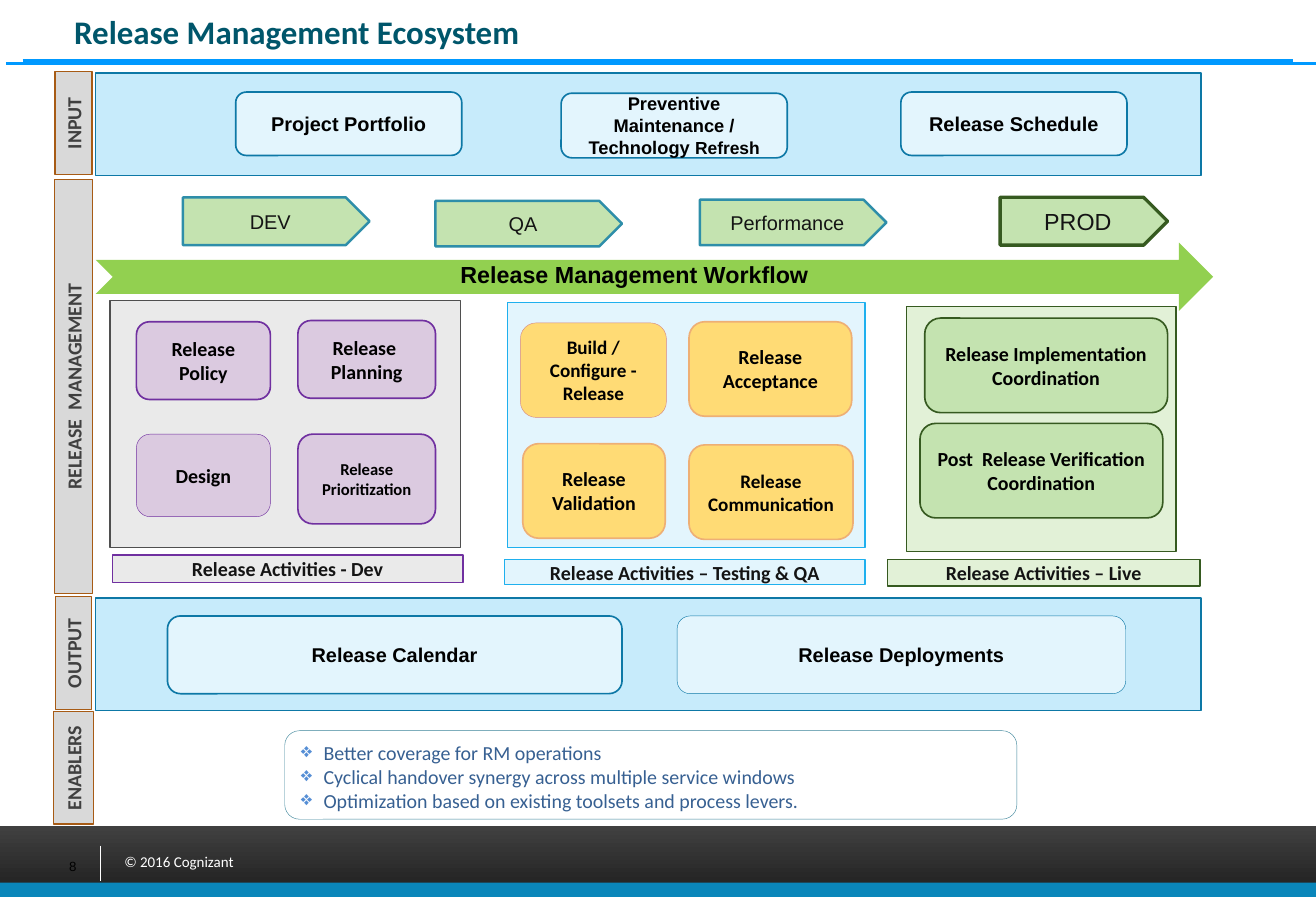
from dataclasses import dataclass

from lxml import etree
from pptx import Presentation
from pptx.dml.color import RGBColor
from pptx.enum.shapes import MSO_CONNECTOR, MSO_SHAPE
from pptx.enum.text import MSO_ANCHOR, PP_ALIGN
from pptx.oxml.ns import qn
from pptx.util import Inches, Pt

RECTANGLE = MSO_SHAPE.RECTANGLE
ROUNDED = MSO_SHAPE.ROUNDED_RECTANGLE
PENTAGON = MSO_SHAPE.PENTAGON
NOTCHED_ARROW = MSO_SHAPE.NOTCHED_RIGHT_ARROW
STRAIGHT = MSO_CONNECTOR.STRAIGHT
LEFT, CENTER = PP_ALIGN.LEFT, PP_ALIGN.CENTER
TOP, MIDDLE = MSO_ANCHOR.TOP, MSO_ANCHOR.MIDDLE


@dataclass(frozen=True)
class Theme:
    heading: str = "Calibri"
    body: str = "Arial"
    title_size: float = 19.8
    large: float = 14
    normal: float = 12
    snug: float = 11.5
    compact: float = 11
    tight: float = 10.5
    small: float = 10
    footer: float = 9
    tiny: float = 8
    black: str = "000000"
    white: str = "FFFFFF"
    ink: str = "141414"
    title: str = "00566B"
    rule: str = "0099FF"
    footer_dark: str = "262626"
    footer_light: str = "404040"
    footer_strip: str = "0A86BA"
    rail: str = "D9D9D9"
    rail_line: str = "A75B15"
    rail_text: str = "404040"
    band: str = "C7EBFB"
    pale_blue: str = "E3F5FD"
    blue_line: str = "0D78A6"
    bright_line: str = "1FB0EE"
    teal_line: str = "2E8EA9"
    gray: str = "EAEAEA"
    gray_line: str = "4F4F4F"
    purple: str = "DBCAE0"
    purple_line: str = "7030A0"
    yellow: str = "FFDB75"
    orange_line: str = "EEAF75"
    rose_line: str = "D48886"
    pale_green: str = "E2F1D7"
    green: str = "C4E3B0"
    green_line: str = "365A20"
    arrow: str = "92D050"
    benefit_line: str = "3B8499"
    benefit_text: str = "376092"
    bullet: str = "558ED5"


THEME = Theme()


def rgb(value):
    return RGBColor.from_string(value)


def format_font(font, name, size, color, bold):
    font.name, font.size, font.bold = name, Pt(size), bold
    font.color.rgb = rgb(color)


def add_bullet(paragraph):
    properties = paragraph._p.get_or_add_pPr()
    properties.set("marL", str(Inches(0.19)))
    properties.set("indent", str(Inches(-0.19)))
    color = etree.SubElement(properties, qn("a:buClr"))
    etree.SubElement(color, qn("a:srgbClr")).set("val", THEME.bullet)
    etree.SubElement(properties, qn("a:buChar")).set("char", "❖")


def write_text(shape, text, font=THEME.heading, size=THEME.normal, color=THEME.black,
               bold=True, align=CENTER, anchor=MIDDLE, wrap=True, bullets=False):
    """Fill a shape with text, one paragraph per line."""
    frame = shape.text_frame
    frame.word_wrap, frame.vertical_anchor = wrap, anchor
    for index, line in enumerate(text.split("\n")):
        paragraph = frame.add_paragraph() if index else frame.paragraphs[0]
        paragraph.alignment = align
        if bullets:
            add_bullet(paragraph)
        run = paragraph.add_run()
        run.text = line
        format_font(run.font, font, size, color, bold)


def add_label(slide, box, text, **text_format):
    shape = slide.shapes.add_textbox(*map(Inches, box))
    write_text(shape, text, align=LEFT, anchor=TOP, **text_format)


def add_box(slide, kind, box, fill=None, line=None, width=0.75, text=None, **text_format):
    shape = slide.shapes.add_shape(kind, *map(Inches, box))
    shape.shadow.inherit = False
    if fill:
        shape.fill.solid()
        shape.fill.fore_color.rgb = rgb(fill)
    else:
        shape.fill.background()
    if line:
        shape.line.color.rgb = rgb(line)
        shape.line.width = Pt(width)
    else:
        shape.line.fill.background()
    if text:
        write_text(shape, text, **text_format)
    return shape


def add_line(slide, start, end, color, width):
    line = slide.shapes.add_connector(STRAIGHT, *map(Inches, start + end))
    line.line.color.rgb = rgb(color)
    line.line.width = Pt(width)
    etree.SubElement(line._element.spPr, qn("a:effectLst"))


def add_rail_label(slide, text, center_y, length, thickness):
    """Add a side label that reads upwards."""
    box = (0.615 - length / 2, center_y - thickness / 2, length, thickness)
    shape = add_box(slide, RECTANGLE, box, THEME.rail, THEME.rail_line,
                    text=text, color=THEME.rail_text)
    shape.rotation = 270


def add_frame(slide):
    footer = add_box(slide, RECTANGLE, (0, 6.91, 11, 0.6))
    footer.fill.gradient()
    footer.fill.gradient_angle = 90
    stops = ((0.24, THEME.footer_dark), (1, THEME.footer_light))
    for stop, (position, color) in zip(footer.fill.gradient_stops, stops):
        stop.position, stop.color.rgb = position, rgb(color)
    add_label(slide, (0.94, 7.08, 2.31, 0.25), "© 2016 Cognizant",
              size=THEME.footer, color=THEME.white, bold=False)
    add_line(slide, (0.84, 7.07), (0.84, 7.37), THEME.white, 0.5)
    add_line(slide, (0.05, 0.53), (11.05, 0.53), THEME.rule, 1.5)
    add_label(slide, (0.48, 7.13, 0.34, 0.24), "8", font=THEME.body,
              size=THEME.tiny, bold=False, wrap=False)
    add_box(slide, RECTANGLE, (0, 7.38, 11, 0.12), THEME.footer_strip)
    add_line(slide, (0.19, 0.51), (10.81, 0.51), THEME.rule, 2.25)


def add_title(slide, text):
    title = slide.shapes.title
    title.left, title.top, title.width, title.height = map(Inches, (0.52, 0.04, 4.73, 0.44))
    write_text(title, text, size=THEME.title_size, color=THEME.title, align=LEFT)


def add_rail(slide):
    for label in (("RELEASE  MANAGEMENT", 3.23, 3.46, 0.32), ("INPUT", 1.03, 0.86, 0.31),
                  ("OUTPUT", 5.46, 0.94, 0.3), ("ENABLERS", 6.42, 0.94, 0.33)):
        add_rail_label(slide, *label)


def add_band(slide, top, height, cards):
    """Add a blue band with rounded cards on it and return the cards."""
    add_box(slide, RECTANGLE, (0.8, top, 9.24, height), THEME.band, THEME.blue_line)
    return [add_box(slide, ROUNDED, box, THEME.pale_blue, THEME.blue_line, width,
                    text=text, font=THEME.body, size=size)
            for text, box, width, size in cards]


def add_stages(slide):
    for text, box, line, width, size in (
            ("DEV", (1.53, 1.65, 1.56, 0.4), THEME.teal_line, 1.5, THEME.normal),
            ("QA", (3.64, 1.68, 1.56, 0.38), THEME.teal_line, 1.5, THEME.normal),
            ("Performance", (5.85, 1.67, 1.56, 0.38), THEME.teal_line, 1.5, THEME.normal),
            ("PROD", (8.36, 1.65, 1.4, 0.4), THEME.green_line, 2, THEME.large)):
        add_box(slide, PENTAGON, box, THEME.green, line, width, text=text,
                font=THEME.body, size=size, color=THEME.ink, bold=False)


def add_activities(slide, panel, caption_box, caption, fill, lines, card_fill, cards):
    """Add a panel, its caption and its cards; lines are for panel and caption."""
    add_box(slide, RECTANGLE, panel, fill, lines[0])
    add_box(slide, RECTANGLE, caption_box, fill, lines[1], text=caption, color=THEME.ink)
    for text, box, line, width, size in cards:
        add_box(slide, ROUNDED, box, card_fill, line, width, text=text, size=size)


def main():
    presentation = Presentation()
    presentation.slide_width, presentation.slide_height = Inches(11), Inches(7.5)
    slide = presentation.slides.add_slide(presentation.slide_layouts[5])
    add_frame(slide)
    add_title(slide, "Release Management Ecosystem")
    add_rail(slide)

    normal, snug = THEME.normal, THEME.snug
    inputs = add_band(slide, 0.61, 0.86, (
        ("Project Portfolio", (1.97, 0.77, 1.89, 0.53), 1, normal),
        ("Preventive Maintenance / Technology ", (4.69, 0.78, 1.89, 0.54), 1, THEME.compact),
        ("Release Schedule", (7.53, 0.77, 1.89, 0.53), 1, normal)))
    refresh = inputs[1].text_frame.paragraphs[0].add_run()
    refresh.text = "Refresh"
    format_font(refresh.font, THEME.body, THEME.tight, THEME.black, True)
    add_band(slide, 5, 0.94, (
        ("Release Calendar", (1.4, 5.15, 3.8, 0.65), 1, normal),
        ("Release Deployments", (5.66, 5.15, 3.75, 0.65), 0.25, normal)))

    purple, orange, green = THEME.purple_line, THEME.orange_line, THEME.green_line
    add_activities(
        slide, (0.92, 2.51, 2.93, 2.07), (0.94, 4.64, 2.93, 0.23), "Release Activities - Dev",
        THEME.gray, (THEME.gray_line, purple), THEME.purple, (
            ("Release Policy", (1.14, 2.69, 1.12, 0.65), purple, 1, normal),
            ("Release \nPlanning", (2.49, 2.68, 1.15, 0.65), purple, 1, normal),
            ("Design", (1.14, 3.63, 1.12, 0.69), purple, 0.25, normal),
            ("Release\nPrioritization", (2.49, 3.63, 1.15, 0.75), purple, 1, THEME.small)))
    add_activities(
        slide, (4.24, 2.53, 2.99, 2.05), (4.22, 4.68, 3.01, 0.21),
        "Release Activities – Testing & QA",
        THEME.pale_blue, (THEME.bright_line, THEME.bright_line), THEME.yellow, (
            ("Build / Configure - Release", (4.35, 2.7, 1.22, 0.79), THEME.rose_line, 0.25, snug),
            ("Release Acceptance", (5.76, 2.69, 1.36, 0.79), orange, 1, normal),
            ("Release Validation", (4.37, 3.71, 1.19, 0.79), orange, 1, normal),
            ("Release Communication", (5.76, 3.72, 1.37, 0.79), orange, 1, snug)))
    add_activities(
        slide, (7.58, 2.56, 2.25, 2.05), (7.42, 4.68, 2.61, 0.22), "Release Activities – Live",
        THEME.pale_green, (green, green), THEME.green, (
            ("Release Implementation Coordination", (7.73, 2.66, 2.03, 0.79), green, 1, normal),
            ("Post  Release Verification Coordination", (7.69, 3.54, 2.03, 0.79), green, 1, normal)))

    add_box(slide, NOTCHED_ARROW, (0.8, 2.03, 9.34, 0.57), THEME.arrow)
    add_label(slide, (3.75, 2.13, 3.87, 0.34), "Release Management Workflow",
              font=THEME.body, size=THEME.large)
    add_stages(slide)
    add_box(slide, ROUNDED, (2.38, 6.11, 6.12, 0.74), line=THEME.benefit_line, width=0.25,
            text="Better coverage for RM operations\n"
                 "Cyclical handover synergy across multiple service windows\n"
                 "Optimization based on existing toolsets and process levers.",
            color=THEME.benefit_text, bold=False, align=LEFT, anchor=TOP, bullets=True)
    presentation.save("out.pptx")


if __name__ == "__main__":
    main()
